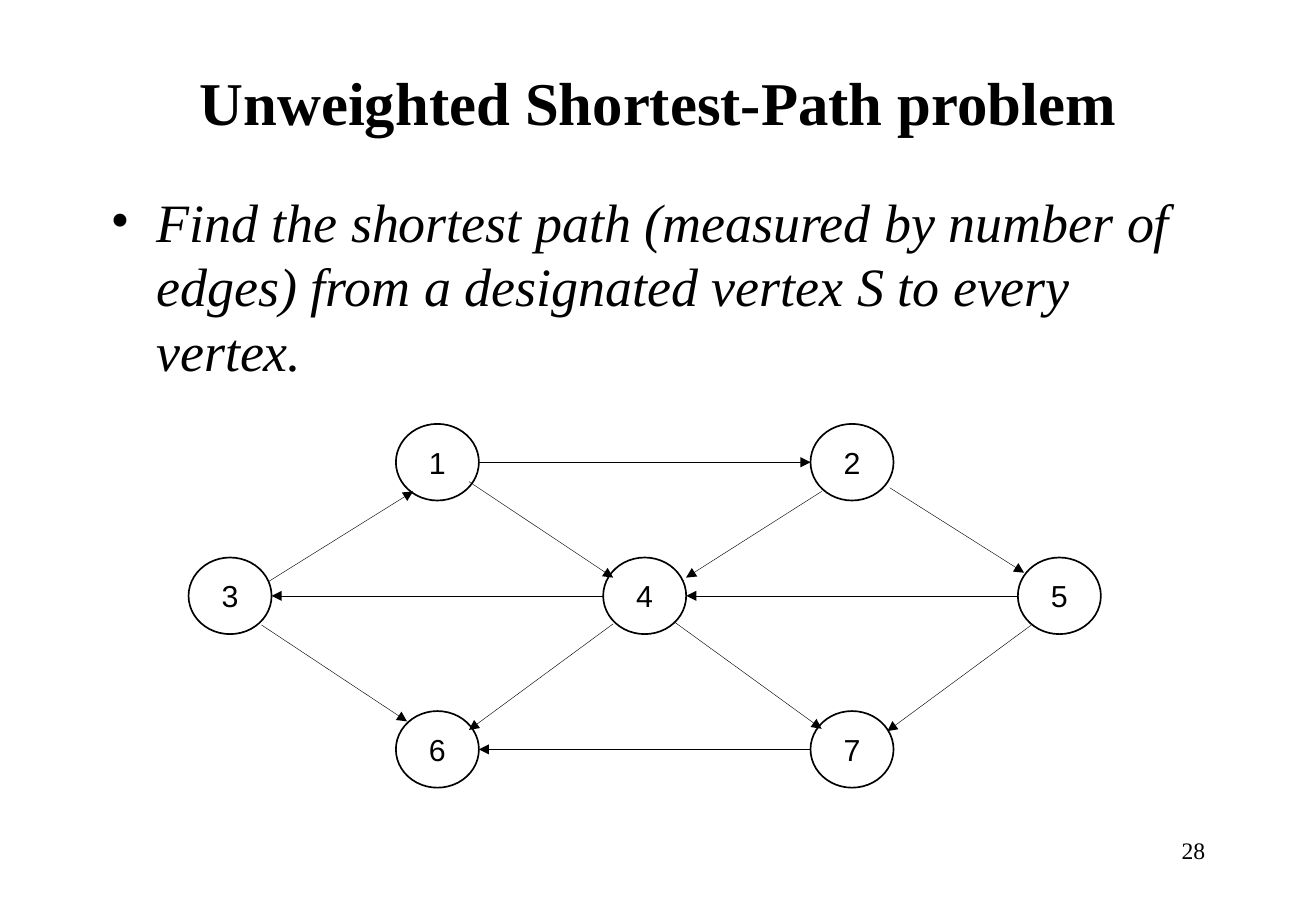
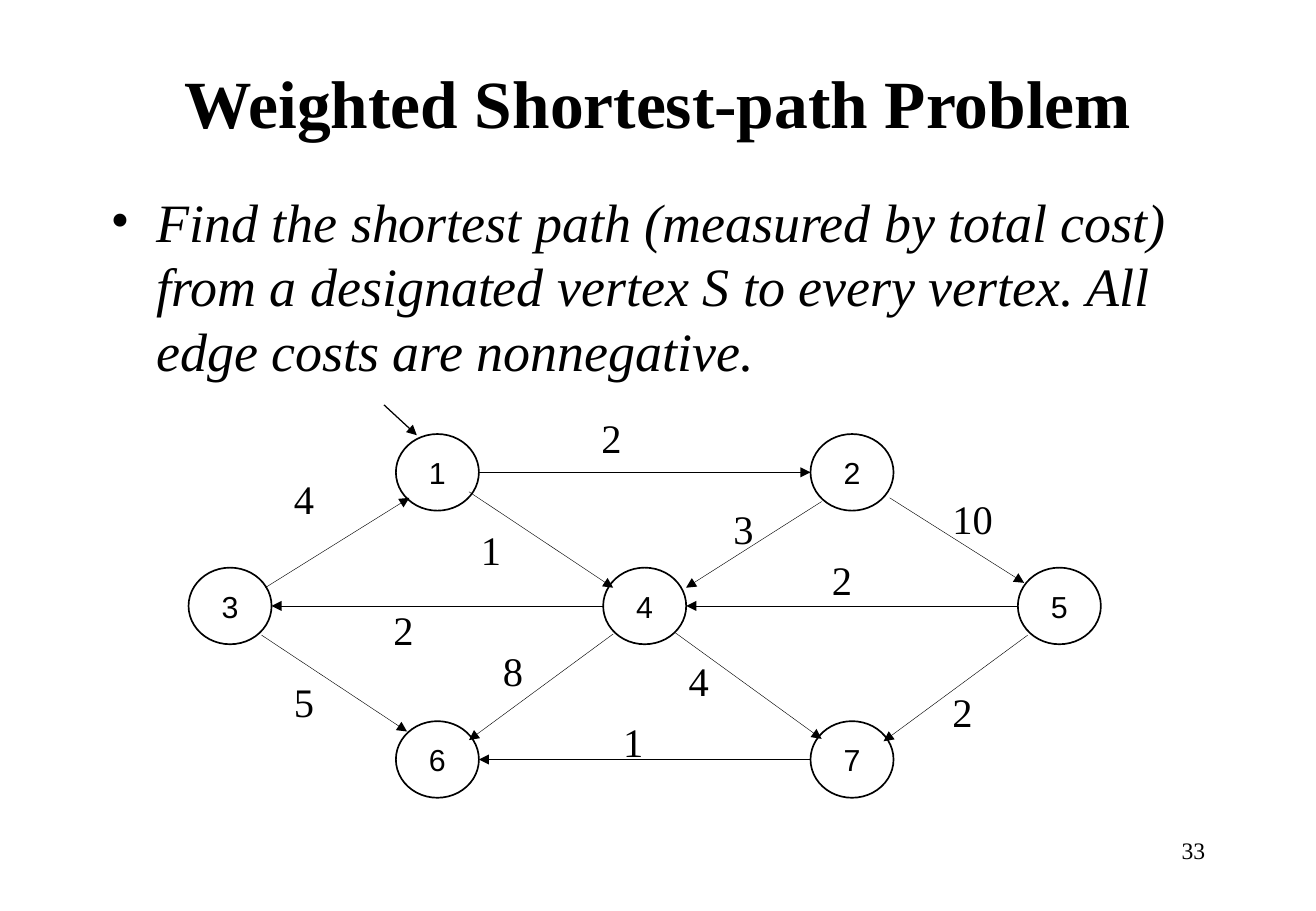
from lxml.etree import SubElement
from pptx import Presentation
from pptx.dml.color import RGBColor
from pptx.enum.shapes import MSO_CONNECTOR, MSO_SHAPE
from pptx.enum.text import MSO_ANCHOR, MSO_AUTO_SIZE, PP_ALIGN
from pptx.oxml.ns import qn
from pptx.util import Pt

BLACK = RGBColor(0, 0, 0)
WHITE = RGBColor(255, 255, 255)
SERIF = "Times New Roman"
SANS = "Arial"

TITLE = {"name": SERIF, "bold": True}
BODY = {"name": SERIF, "size": Pt(32), "italic": True}
COST = {"name": SERIF, "size": Pt(24)}
PAGE = {"name": SERIF, "size": Pt(14)}
NODE = {"name": SANS, "size": Pt(18)}

TITLE_BOX = (58.5, 30.2, 663.1, 59.8)
BODY_BOX = (58.5, 108, 663.1, 126)
PAGE_BOX = (558.9, 492, 162.7, 36)
COST_SIZE = (51.8, 36)
INDENT = 27

# Node centres: column step, and the drop of each row below the first
NODE_W, NODE_H = 49.2, 45.4
LEFT, STEP = 136.4, 122.9
DROPS = (0, 79.2, 170.2)
CELLS = {1: (1, 0), 2: (3, 0), 3: (0, 1), 4: (2, 1),
         5: (4, 1), 6: (1, 2), 7: (3, 2)}

# Edge (from, to): offsets of its two ends from the node centres
EAST, WEST = (NODE_W / 2, 0), (-NODE_W / 2, 0)
EDGES = {
    (1, 2): (EAST, WEST),
    (1, 4): ((18.7, 11.5), (-18.7, -10.8)),
    (2, 4): ((-18, 17.3), (24.5, -10.8)),
    (2, 5): ((22.3, 15.1), (-20.9, -13.7)),
    (3, 1): ((23, -8.6), (-14.4, 17.3)),
    (3, 6): ((18.7, 17.3), (-18, -16.6)),
    (4, 3): (WEST, EAST),
    (4, 6): ((-18.7, 16.6), (18.7, -11.5)),
    (4, 7): ((18, 15.8), (-18, -12.2)),
    (5, 4): (WEST, EAST),
    (5, 7): ((-16.6, 17.3), (20.9, -10.8)),
    (7, 6): (WEST, EAST),
}
NUDGES = {(3, 1): (-2.2, -2.2), (5, 7): (-2.2, 0)}

# Cost text, left, top
COSTS = (
    ("2", 349.4, 241.5), ("4", 167.2, 277.5), ("1", 278, 307.7),
    ("10", 557.5, 289.6), ("2", 486, 325.7), ("2", 226.1, 355.2),
    ("1", 362.3, 421.5), ("5", 167.2, 397.5), ("2", 557.5, 403.5),
    ("8", 291, 379.6), ("4", 401.2, 385.5), ("3", 427.7, 295.5),
)


def apply(item, values):
    for key, value in values.items():
        setattr(item, key, value)


def place(shape, box):
    keys = ("left", "top", "width", "height")
    apply(shape, dict(zip(keys, map(Pt, box))))


def write(shape, text, style, align=PP_ALIGN.LEFT, **frame):
    """Fill a shape with one paragraph and return that paragraph."""
    apply(shape.text_frame, {"word_wrap": True, **frame})
    para = shape.text_frame.paragraphs[0]
    para.alignment = align
    run = para.add_run()
    run.text = text
    apply(run.font, style)
    run.font.color.rgb = BLACK
    return para


def add_text(slide, box, text, style, align=PP_ALIGN.LEFT):
    shape = slide.shapes.add_textbox(*map(Pt, box))
    return write(shape, text, style, align)


def add_point(slide, text):
    """Add the bulleted statement of the problem."""
    para = add_text(slide, BODY_BOX, text, BODY)
    props = para._p.get_or_add_pPr()
    props.set("marL", str(Pt(INDENT)))
    props.set("indent", str(-Pt(INDENT)))
    SubElement(props, qn("a:buFont"), typeface=SERIF)
    SubElement(props, qn("a:buChar"), char="•")


def add_arrow(slide, start, end, width=0.25):
    ends = map(Pt, (*start, *end))
    arrow = slide.shapes.add_connector(MSO_CONNECTOR.STRAIGHT, *ends)
    arrow.line.color.rgb = BLACK
    arrow.line.width = Pt(width)
    SubElement(arrow.line._get_or_add_ln(), qn("a:tailEnd"), type="triangle")
    SubElement(arrow._element.spPr, qn("a:effectLst"))


def add_node(slide, name, centre):
    x, y = centre
    box = (x - NODE_W / 2, y - NODE_H / 2, NODE_W, NODE_H)
    node = slide.shapes.add_shape(MSO_SHAPE.OVAL, *map(Pt, box))
    node.shadow.inherit = False
    node.fill.background()
    node.line.color.rgb = BLACK
    node.line.width = Pt(1)
    write(node, str(name), NODE, PP_ALIGN.CENTER, word_wrap=False,
          vertical_anchor=MSO_ANCHOR.MIDDLE)


def shift(point, *moves):
    return tuple(map(sum, zip(point, *moves)))


def add_graph(slide, top, nudges):
    """Draw the graph with its first row of centres at top."""
    spots = {name: (LEFT + col * STEP, top + DROPS[row])
             for name, (col, row) in CELLS.items()}
    for edge, ends in EDGES.items():
        nudge = nudges.get(edge, (0, 0))
        add_arrow(slide, *(shift(spots[name], end, nudge)
                           for name, end in zip(edge, ends)))
    for name, spot in spots.items():
        add_node(slide, name, spot)


def add_slide(deck, title, size, point, page):
    slide = deck.slides.add_slide(deck.slide_layouts[5])
    slide.background.fill.solid()
    slide.background.fill.fore_color.rgb = WHITE
    place(slide.shapes.title, TITLE_BOX)
    write(slide.shapes.title, title, {**TITLE, "size": Pt(size)},
          PP_ALIGN.CENTER, vertical_anchor=MSO_ANCHOR.MIDDLE,
          auto_size=MSO_AUTO_SIZE.NONE)
    add_point(slide, point)
    add_text(slide, PAGE_BOX, page, PAGE, PP_ALIGN.RIGHT)
    return slide


def main():
    deck = Presentation()
    apply(deck, {"slide_width": Pt(780.13), "slide_height": Pt(540)})

    plain = add_slide(
        deck, "Unweighted Shortest-Path problem", 36,
        "Find the shortest path (measured by number of edges) "
        "from a designated vertex S to every vertex.", "28")
    add_graph(plain, 274, {})

    costed = add_slide(
        deck, "Weighted Shortest-path Problem", 40,
        "Find the shortest path (measured by total cost) from a designated "
        "vertex S to every vertex. All edge costs are nonnegative.", "33")
    add_graph(costed, 280, NUDGES)
    for cost, left, top in COSTS:
        add_text(costed, (left, top, *COST_SIZE), cost, COST)
    add_arrow(costed, (227.6, 240), (247.1, 258), 0.75)

    deck.save("out.pptx")


if __name__ == "__main__":
    main()
